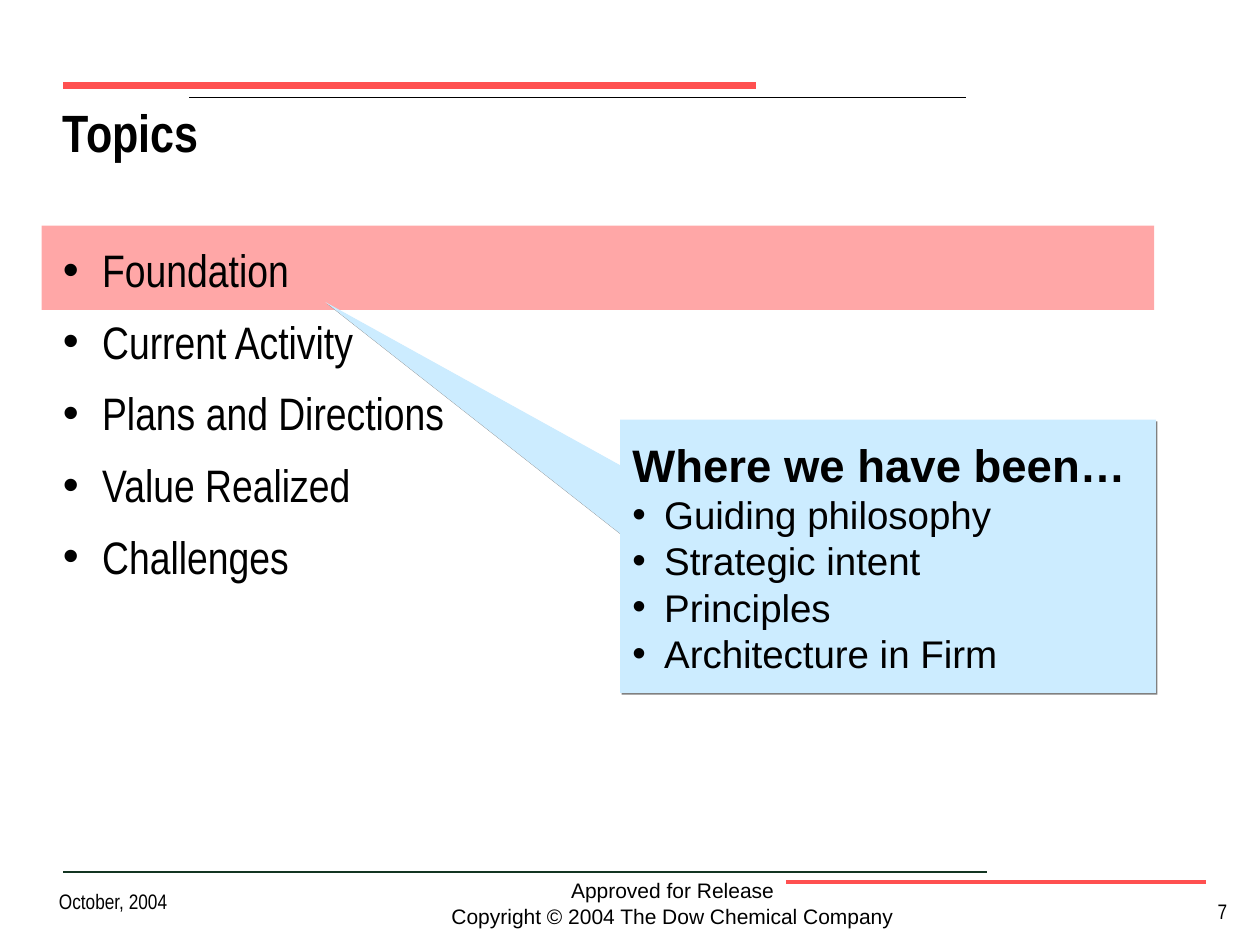
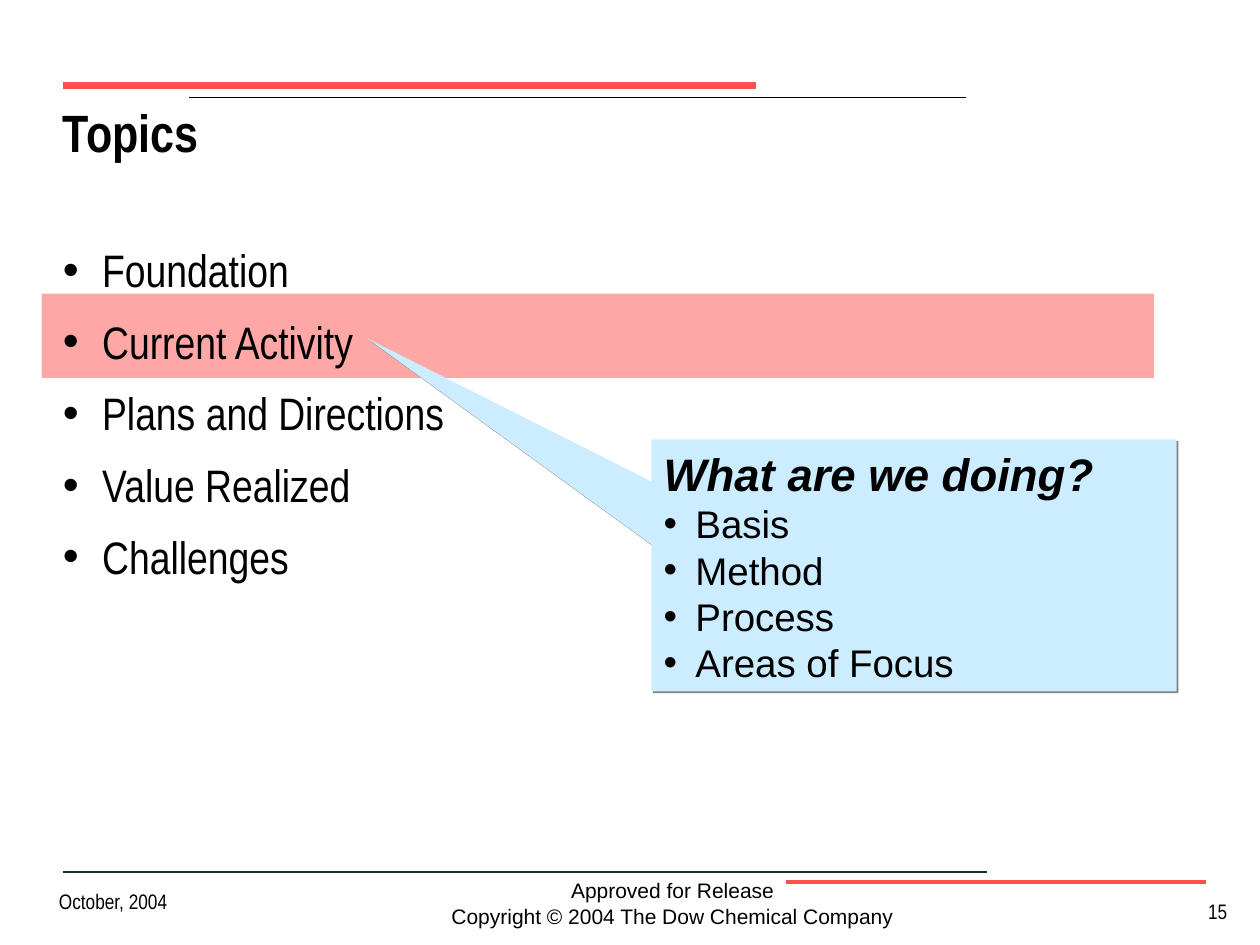
"""Build two agenda slides, each with one topic marked and explained in a callout."""
from lxml import etree
from pptx import Presentation
from pptx.dml.color import RGBColor
from pptx.enum.shapes import MSO_CONNECTOR, MSO_SHAPE
from pptx.enum.text import MSO_ANCHOR, PP_ALIGN
from pptx.oxml.ns import qn
from pptx.util import Cm, Pt

RED = RGBColor(0xFF, 0x50, 0x50)
BLACK = RGBColor(0, 0, 0)
GREEN = RGBColor(0x13, 0x35, 0x22)
SKY = RGBColor(0xCC, 0xEC, 0xFF)
LEFT, CENTER, RIGHT = PP_ALIGN.LEFT, PP_ALIGN.CENTER, PP_ALIGN.RIGHT
MIDDLE = MSO_ANCHOR.MIDDLE
RECT, CALLOUT = MSO_SHAPE.RECTANGLE, MSO_SHAPE.RECTANGULAR_CALLOUT
STRAIGHT = MSO_CONNECTOR.STRAIGHT
SANS, NARROW = "Arial", "Arial Narrow"

RULES = [
    (1.27, 15.24, 1.73, RED, 4),
    (3.81, 19.48, 1.96, BLACK, 0.75),
    (1.27, 19.89, 17.58, GREEN, 0.75),
    (15.85, 24.31, 17.78, RED, 2.25),
]
TOPICS = ["Foundation", "Current Activity", "Plans and Directions",
          "Value Realized", "Challenges"]
FOOTER = ["Approved for Release", "Copyright © 2004 The Dow Chemical Company"]
PAGES = [
    dict(num="7", bar=4.55, box=(12.5, 8.46, 10.8, 5.51), tip=(-1.05, -0.93),
         head="Where we have been…", slant=False,
         points=["Guiding philosophy", "Strategic intent", "Principles",
                 "Architecture in Firm"]),
    dict(num="15", bar=5.92, box=(13.13, 8.86, 10.59, 5.08), tip=(-1.04, -0.9),
         head="What are we doing?", slant=True,
         points=["Basis", "Method", "Process", "Areas of Focus"]),
]


def write(shape, lines, size, face, pad=(0, 0), align=LEFT):
    frame = shape.text_frame
    frame.word_wrap = True
    frame.margin_left = frame.margin_right = Cm(pad[0])
    frame.margin_top = frame.margin_bottom = Cm(pad[1])
    frame.text = "\n".join(lines)
    for para in frame.paragraphs:
        para.alignment = align
        for run in para.runs:
            run.font.size = Pt(size)
            run.font.name = face
            run.font.color.rgb = BLACK
    return frame.paragraphs


def bullet(para, indent):
    props = para._p.get_or_add_pPr()
    props.set("marL", str(Cm(indent)))
    props.set("indent", str(-Cm(indent)))
    tint = etree.SubElement(props, qn("a:buClr"))
    etree.SubElement(tint, qn("a:srgbClr"), val=str(BLACK))
    etree.SubElement(props, qn("a:buFont"), typeface=SANS)
    etree.SubElement(props, qn("a:buChar"), char="•")


deck = Presentation()
deck.slide_width, deck.slide_height = Cm(25.4), Cm(19.05)

for page in PAGES:
    slide = deck.slides.add_slide(deck.slide_layouts[6])
    shapes = slide.shapes

    for start, end, y, color, width in RULES:
        rule = shapes.add_connector(STRAIGHT, Cm(start), Cm(y), Cm(end), Cm(y))
        rule.line.color.rgb = color
        rule.line.width = Pt(width)
        etree.SubElement(rule._element.spPr, qn("a:effectLst"))

    foot = shapes.add_textbox(Cm(8.76), Cm(17.6), Cm(9.6), Cm(1.24))
    write(foot, FOOTER, 12, SANS, (0.23, 0.1), CENTER)

    bar = shapes.add_shape(RECT, Cm(0.84), Cm(page["bar"]), Cm(22.43), Cm(1.7))
    bar.shadow.inherit = False
    bar.fill.solid()
    bar.fill.fore_color.rgb = RED
    bar.line.fill.background()
    tint = bar._element.spPr.find(qn("a:solidFill")).find(qn("a:srgbClr"))
    etree.SubElement(tint, qn("a:alpha"), val="50000")

    note = shapes.add_shape(CALLOUT, *[Cm(n) for n in page["box"]])
    note.adjustments[0], note.adjustments[1] = page["tip"]
    note.fill.solid()
    note.fill.fore_color.rgb = SKY
    note.line.fill.background()
    note.shadow.inherit = False
    glow = note._element.spPr.find(qn("a:effectLst"))
    cast = etree.SubElement(glow, qn("a:outerShdw"), dist=str(Pt(1.4)),
                            dir="2700000", algn="ctr", rotWithShape="0")
    etree.SubElement(cast, qn("a:srgbClr"), val="808080")
    head, *points = write(note, [page["head"], *page["points"]], 22, SANS,
                          (0.25, 0.13))
    note.text_frame.vertical_anchor = MIDDLE
    for run in head.runs:
        run.font.size = Pt(26)
        run.font.bold = True
        run.font.italic = page["slant"]
    for para in points:
        bullet(para, 0.64)

    title = shapes.add_textbox(Cm(1.27), Cm(2.21), Cm(17.98), Cm(1.78))
    para = write(title, ["Topics"], 30, NARROW)[0]
    para.line_spacing = 0.85
    para.runs[0].font.bold = True

    body = shapes.add_textbox(Cm(1.27), Cm(4.88), Cm(22.86), Cm(12.27))
    for i, para in enumerate(write(body, TOPICS, 26, NARROW)):
        bullet(para, 0.79)
        para.space_before = Pt(6.5 if i else 0)
        para.space_after = Pt(3.3)

    num = shapes.add_textbox(Cm(20.75), Cm(17.98), Cm(4.24), Cm(0.84))
    write(num, [page["num"]], 12, NARROW, (0.25, 0.13), RIGHT)
    date = shapes.add_textbox(Cm(0.94), Cm(17.78), Cm(5.28), Cm(1.07))
    write(date, ["October, 2004"], 12, NARROW, (0.25, 0.13))

deck.save("out.pptx")
